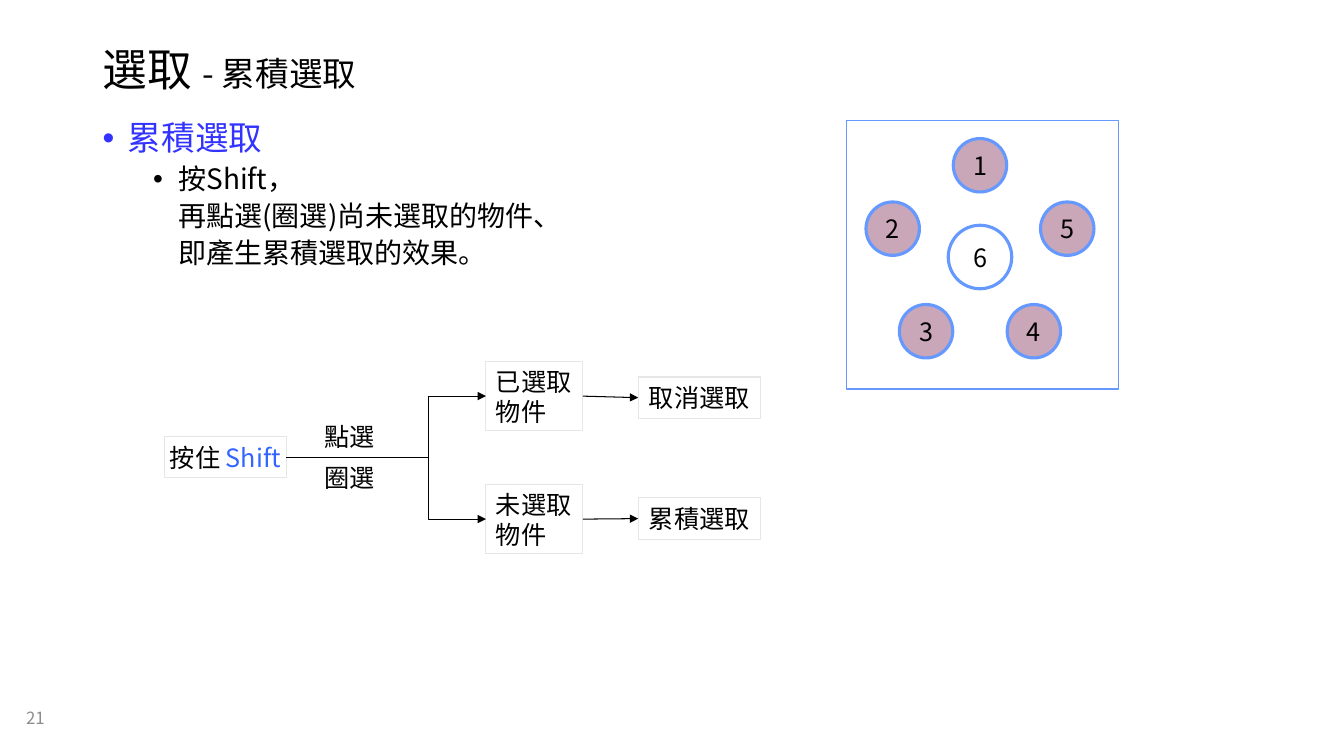
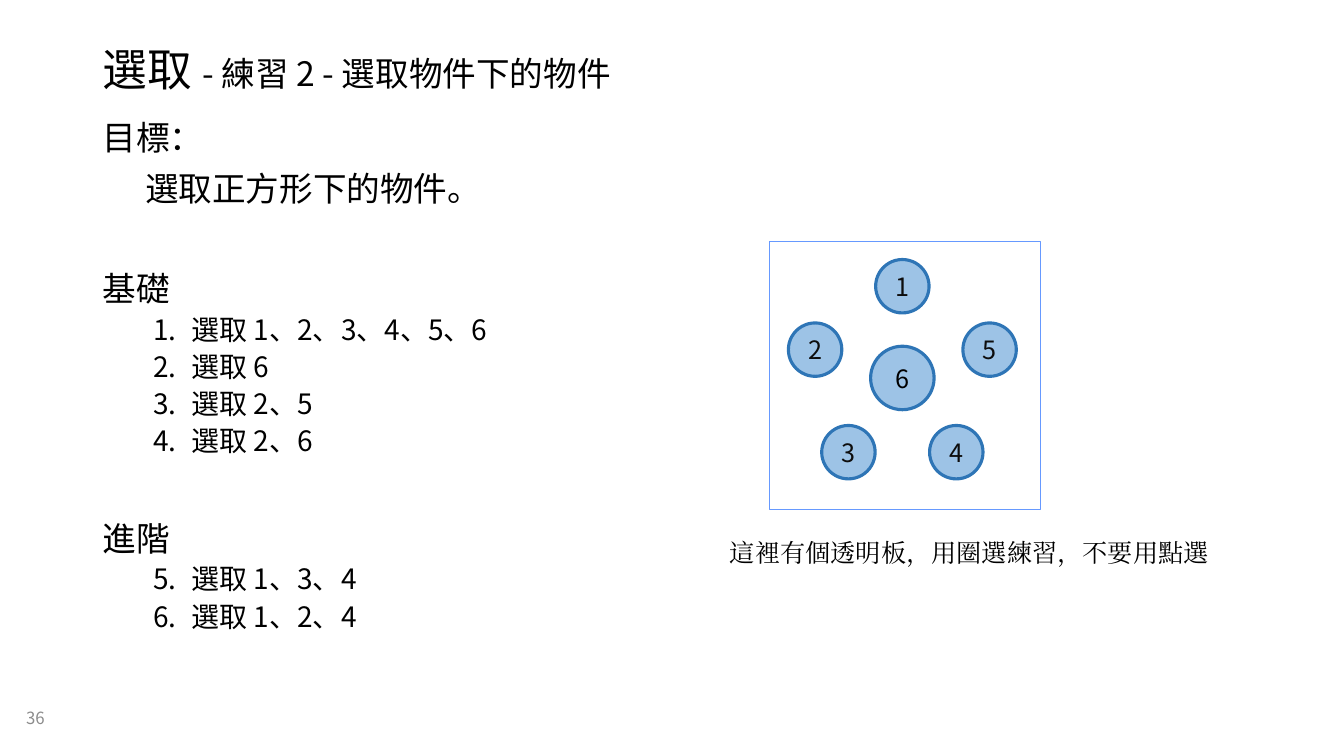
import math

from lxml import etree
from pptx import Presentation
from pptx.dml.color import RGBColor
from pptx.enum.shapes import MSO_CONNECTOR, MSO_SHAPE
from pptx.enum.text import MSO_ANCHOR, MSO_AUTO_SIZE, PP_ALIGN
from pptx.oxml.ns import qn
from pptx.util import Inches, Pt

RECTANGLE, OVAL = MSO_SHAPE.RECTANGLE, MSO_SHAPE.OVAL
STRAIGHT, ELBOW = MSO_CONNECTOR.STRAIGHT, MSO_CONNECTOR.ELBOW
LEFT, CENTER = PP_ALIGN.LEFT, PP_ALIGN.CENTER
TOP, MIDDLE = MSO_ANCHOR.TOP, MSO_ANCHOR.MIDDLE
NO_FIT = MSO_AUTO_SIZE.NONE

SANS, SERIF = "Noto Sans CJK SC", "Times New Roman"
BLACK, NEAR_BLACK, WHITE, GRAY = "000000", "0D0D0D", "FFFFFF", "8C8C8C"
BLUE, KEY_BLUE, FRAME_BLUE = "3333FF", "3366FF", "6699FF"
MAUVE, PALE_BLUE, DEEP_BLUE, PALE_GRAY = "954F72", "9DC3E6", "2E75B6", "E7E6E6"


def color(value):
    return RGBColor.from_string(value)


def apply(target, values):
    for name, value in values.items():
        setattr(target, name, value)


def add_xml(parent, tag, **attributes):
    return etree.SubElement(parent, qn(tag), attributes)


class Deck:
    TITLE_BOX = (0.92, 0.4, 11.5, 0.62)
    BODY_BOX = (0.92, 1.16, 5.67, 5.44)
    NUMBER_BOX = (0.16, 6.93, 0.67, 0.39)
    ELBOW_BEND = 0.714
    RING = 0.91
    FRAME = (2.69, 2.66)
    FRAME_OFFSET = (1.32, 1.35)
    OUTLINES = {
        "heading": {"left": 0.42, "first": -0.42, "size": 24, "before": 10},
        "section": {"left": 0.42, "first": -0.42, "size": 24, "before": 46},
        "goal": {"left": 0.42, "first": 0, "size": 24, "before": 10},
        "topic": {"left": 0.25, "first": -0.25, "size": 24, "before": 10,
                  "ink": BLUE, "bullet": "•"},
        "point": {"left": 0.75, "first": -0.25, "size": 20, "before": 5,
                  "level": 1, "bullet": "•"},
        "more": {"left": 0.75, "first": 0, "size": 20, "before": 5, "level": 1},
        "step": {"left": 0.88, "first": -0.38, "size": 20, "before": 5,
                 "level": 1, "start": 1},
        "later step": {"left": 0.88, "first": -0.38, "size": 20, "before": 5,
                       "level": 1, "start": 5},
    }

    def __init__(self):
        self.presentation = Presentation()
        apply(self.presentation, {"slide_width": Inches(13.33),
                                  "slide_height": Inches(7.5)})
        self.slide = None

    def start(self, subtitle, number):
        layout = self.presentation.slide_layouts[5]
        self.slide = self.presentation.slides.add_slide(layout)
        title = self.slide.shapes.title
        places = map(Inches, self.TITLE_BOX)
        apply(title, dict(zip(("left", "top", "width", "height"), places)))
        apply(title.text_frame, {"word_wrap": True, "auto_size": NO_FIT,
                                 "vertical_anchor": MIDDLE})
        line = title.text_frame.paragraphs[0]
        apply(line, {"alignment": LEFT, "line_spacing": 0.9})
        self.run(line, "選取 ", 32)
        self.run(line, subtitle, 24)
        self.label(self.NUMBER_BOX, number, size=12, ink=GRAY, align=LEFT)

    def run(self, paragraph, text, size=18, ink=BLACK, font=SANS):
        run = paragraph.add_run()
        run.text = text
        apply(run.font, {"size": Pt(size), "name": font})
        run.font.color.rgb = color(ink)
        add_xml(run.font._element, "a:ea", typeface=font)

    def fill_text(self, shape, lines, align=CENTER, anchor=MIDDLE, **style):
        frame = shape.text_frame
        apply(frame, {"word_wrap": False, "auto_size": NO_FIT,
                      "vertical_anchor": anchor})
        for index, text in enumerate(lines.split("\n")):
            line = frame.add_paragraph() if index else frame.paragraphs[0]
            line.alignment = align
            self.run(line, text, **style)

    def label(self, place, text, **style):
        box = self.slide.shapes.add_textbox(*map(Inches, place))
        self.fill_text(box, text, **style)

    def body(self, outline):
        box = self.slide.shapes.add_textbox(*map(Inches, self.BODY_BOX))
        frame = box.text_frame
        apply(frame, {"word_wrap": True, "auto_size": NO_FIT,
                      "vertical_anchor": TOP})
        for index, (kind, text) in enumerate(outline):
            style = self.OUTLINES[kind]
            line = frame.add_paragraph() if index else frame.paragraphs[0]
            apply(line, {"alignment": LEFT, "line_spacing": 0.9,
                         "level": style.get("level", 0),
                         "space_before": Pt(style["before"] if index else 0)})
            properties = line._p.get_or_add_pPr()
            properties.set("marL", str(Inches(style["left"])))
            properties.set("indent", str(Inches(style["first"])))
            if "bullet" in style:
                add_xml(properties, "a:buFont", typeface="Arial")
                add_xml(properties, "a:buChar", char=style["bullet"])
            elif "start" in style:
                add_xml(properties, "a:buFont", typeface=SANS)
                add_xml(properties, "a:buAutoNum", type="arabicPeriod",
                        startAt=str(style["start"]))
            else:
                add_xml(properties, "a:buNone")
            self.run(line, text, style["size"], style.get("ink", BLACK))

    def shape(self, kind, place, edge, weight=0.75, fill=None, alpha=None):
        shape = self.slide.shapes.add_shape(kind, *map(Inches, place))
        shape.shadow.inherit = False
        shape.line.color.rgb = color(edge)
        shape.line.width = Pt(weight)
        if fill is None:
            shape.fill.background()
            return shape
        shape.fill.solid()
        shape.fill.fore_color.rgb = color(fill)
        if alpha is not None:
            tint = shape._element.spPr.find(qn("a:solidFill"))[0]
            add_xml(tint, "a:alpha", val=str(alpha * 1000))
        return shape

    def box(self, place, text, align=CENTER):
        box = self.shape(RECTANGLE, place, PALE_GRAY)
        self.fill_text(box, text, align)
        return box

    def frame(self, x, y, **style):
        dx, dy = self.FRAME_OFFSET
        self.shape(RECTANGLE, (x - dx, y - dy, *self.FRAME), FRAME_BLUE, **style)

    def circle(self, x, y, size, text, ink, **style):
        place = (x - size / 2, y - size / 2, size, size)
        self.fill_text(self.shape(OVAL, place, weight=2.25, **style), text, ink=ink)

    def ring(self, x, y, edge, fill, center_fill, ink, alpha=None):
        self.circle(x, y, 0.63, "6", BLACK,
                    edge=edge, fill=center_fill, alpha=alpha)
        for index in range(5):
            angle = math.radians(90 + 72 * index)
            self.circle(x + self.RING * math.cos(angle),
                        y - self.RING * math.sin(angle), 0.53, str(index + 1),
                        ink, edge=edge, fill=fill, alpha=alpha)

    def arrow(self, source, target, kind=STRAIGHT):
        arrow = self.slide.shapes.add_connector(
            kind, source.left + source.width, source.top + source.height // 2,
            target.left, target.top + target.height // 2)
        arrow.line.color.rgb = color(BLACK)
        arrow.line.width = Pt(0.75)
        properties = arrow._element.spPr
        add_xml(properties.find(qn("a:ln")), "a:tailEnd", type="triangle")
        add_xml(properties, "a:effectLst")
        if kind == ELBOW:
            bends = properties.find(qn("a:prstGeom")).find(qn("a:avLst"))
            add_xml(bends, "a:gd", name="adj1",
                    fmla=f"val {round(self.ELBOW_BEND * 100000)}")
        else:
            arrow.begin_connect(source, 3)
            arrow.end_connect(target, 1)


def cumulative_selection(deck):
    deck.start("- 累積選取", "21")
    deck.body([("topic", "累積選取"),
               ("point", "按Shift，"),
               ("more", "再點選(圈選)尚未選取的物件、"),
               ("more", "即產生累積選取的效果。")])
    center = (9.72, 2.55)
    deck.frame(*center, fill=WHITE, alpha=50)
    deck.ring(*center, FRAME_BLUE, MAUVE, WHITE, BLACK, alpha=50)

    hold = deck.box((1.63, 4.33, 1.21, 0.41), "按住 ")
    deck.run(hold.text_frame.paragraphs[0], "Shift", ink=KEY_BLUE)
    for top, action in ((4.13, "點選"), (4.54, "圈選")):
        deck.label((3.12, top, 0.7, 0.4), action)
    branches = ((3.59, "已選取\n物件", 3.74, "取消選取"),
                (4.81, "未選取\n物件", 4.94, "累積選取"))
    for state_top, state_text, result_top, result_text in branches:
        state = deck.box((4.82, state_top, 0.96, 0.68), state_text, LEFT)
        result = deck.box((6.33, result_top, 1.21, 0.41), result_text)
        deck.arrow(hold, state, ELBOW)
        deck.arrow(state, result)


def selection_exercise(deck):
    deck.start("- 練習 2 - 選取物件下的物件", "36")
    deck.body([("heading", "目標："),
               ("goal", "選取正方形下的物件。"),
               ("section", "基礎"),
               ("step", "選取 1、2、3、4、5、6"),
               ("step", "選取 6"),
               ("step", "選取 2、5"),
               ("step", "選取 2、6"),
               ("section", "進階"),
               ("later step", "選取 1、3、4"),
               ("later step", "選取 1、2、4")])
    center = (8.95, 3.75)
    deck.ring(*center, DEEP_BLUE, PALE_BLUE, PALE_BLUE, NEAR_BLACK)
    deck.frame(*center)
    deck.label((7.14, 5.28, 5, 0.4), "這裡有個透明板，用圈選練習，不要用點選",
               align=LEFT, anchor=TOP, font=SERIF)


def main():
    deck = Deck()
    cumulative_selection(deck)
    selection_exercise(deck)
    deck.presentation.save("out.pptx")


if __name__ == "__main__":
    main()
